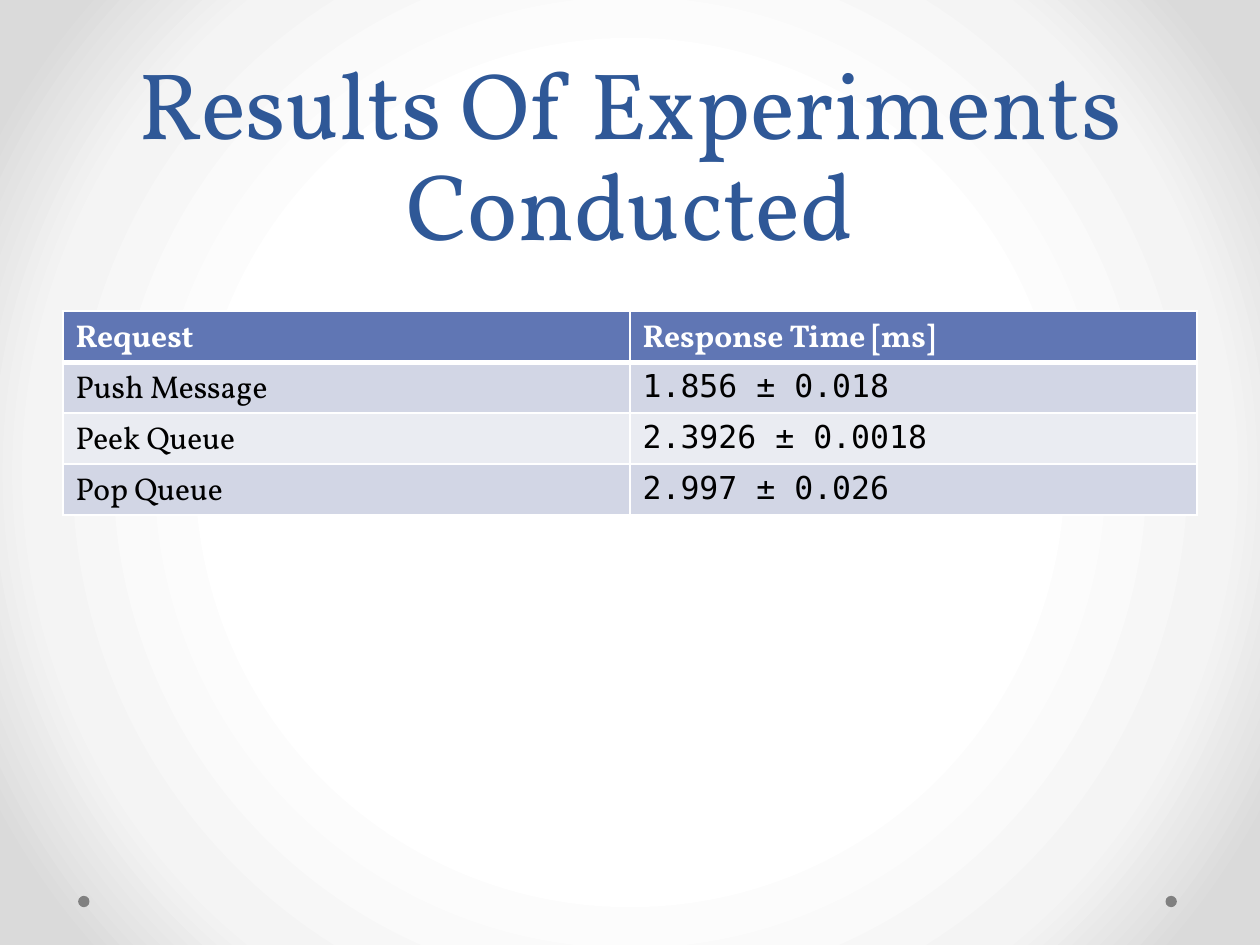
from pptx import Presentation
from pptx.dml.color import RGBColor
from pptx.enum.shapes import MSO_SHAPE
from pptx.enum.text import MSO_ANCHOR, PP_ALIGN
from pptx.oxml import parse_xml
from pptx.oxml.ns import nsdecls
from pptx.util import Inches, Pt

WHITE = RGBColor(0xFF, 0xFF, 0xFF)
BLACK = RGBColor(0x00, 0x00, 0x00)
TITLE_BLUE = RGBColor(0x2F, 0x58, 0x97)
HEADER_BLUE = RGBColor(0x60, 0x76, 0xB4)
BAND_DARK = RGBColor(0xD2, 0xD6, 0xE5)
BAND_LIGHT = RGBColor(0xEA, 0xEC, 0xF2)
DOT_GRAY = RGBColor(0x80, 0x80, 0x80)
GLOW_STOPS = [(50, WHITE), (76, RGBColor(0xF4, 0xF4, 0xF4)), (92, RGBColor(0xDA, 0xDA, 0xDA))]

TEXT_FONT = "Vollkorn"
NUMBER_FONT = "DejaVu Sans Mono"

RESULTS = [
    ("Request", "Response Time [ms]"),
    ("Push Message", "1.856 ± 0.018"),
    ("Peek Queue", "2.3926 ± 0.0018"),
    ("Pop Queue", "2.997 ± 0.026"),
]


class SlideBuilder:
    """Draws on one slide; positions and sizes are shares of the slide's size."""

    def __init__(self, deck):
        self.width, self.height = deck.slide_width, deck.slide_height
        self.page = deck.slides.add_slide(deck.slide_layouts[6])

    def area(self, left, top, width, height):
        return (round(left * self.width), round(top * self.height),
                round(width * self.width), round(height * self.height))

    def radial_background(self, stops):
        marks = "".join(
            f'<a:gs pos="{share * 1000}"><a:srgbClr val="{color}"/></a:gs>'
            for share, color in stops)
        self.page.element.cSld.insert(0, parse_xml(
            f'<p:bg {nsdecls("p", "a")}><p:bgPr><a:gradFill rotWithShape="1">'
            f'<a:gsLst>{marks}</a:gsLst><a:path path="circle">'
            '<a:fillToRect l="50000" t="50000" r="50000" b="50000"/></a:path>'
            '</a:gradFill><a:effectLst/></p:bgPr></p:bg>'))

    def dot(self, left, top, diameter):
        """Diameter is a share of the slide's width."""
        area = self.area(left, top, diameter, diameter * self.width / self.height)
        shape = self.page.shapes.add_shape(MSO_SHAPE.OVAL, *area)
        shape.shadow.inherit = False
        shape.fill.solid()
        shape.fill.fore_color.rgb = DOT_GRAY
        shape.line.fill.background()

    def style(self, para, font, size, color, bold=False):
        para.font.name, para.font.size = font, Pt(size)
        para.font.color.rgb, para.font.bold = color, bold

    def title(self, text, *area):
        frame = self.page.shapes.add_textbox(*self.area(*area)).text_frame
        frame.word_wrap = True
        frame.vertical_anchor = MSO_ANCHOR.BOTTOM
        para = frame.paragraphs[0]
        para.text = text
        para.alignment = PP_ALIGN.CENTER
        para.line_spacing = Pt(58)
        self.style(para, TEXT_FONT, 54, TITLE_BLUE)

    def borders(self, cell, widths):
        """Set white left, right, top and bottom borders, in points."""
        properties = cell._tc.get_or_add_tcPr()
        for index, (side, width) in enumerate(zip("LRTB", widths)):
            properties.insert(index, parse_xml(
                f'<a:ln{side} {nsdecls("a")} w="{Pt(width)}"><a:solidFill>'
                f'<a:srgbClr val="{WHITE}"/></a:solidFill></a:ln{side}>'))

    def table(self, rows, *area):
        table = self.page.shapes.add_table(len(rows), len(rows[0]), *self.area(*area)).table
        for row, texts in enumerate(rows):
            header = row == 0
            fill = HEADER_BLUE if header else BAND_DARK if row % 2 else BAND_LIGHT
            for column, text in enumerate(texts):
                cell = table.cell(row, column)
                cell.text = text
                cell.fill.solid()
                cell.fill.fore_color.rgb = fill
                self.borders(cell, (1, 1, 3 if row == 1 else 1, 3 if header else 1))
                font = NUMBER_FONT if column and not header else TEXT_FONT
                self.style(cell.text_frame.paragraphs[0], font, 18,
                           WHITE if header else BLACK, header)


def main():
    deck = Presentation()
    deck.slide_width, deck.slide_height = Inches(10), Inches(7.5)
    slide = SlideBuilder(deck)
    slide.radial_background(GLOW_STOPS)
    for left in (0.925, 0.062):
        slide.dot(left, 7.11 / 7.5, 0.009)
    slide.title("Results Of Experiments\vConducted", 0.05, 0, 0.9, 2.11 / 7.5)
    slide.table(RESULTS, 0.05, 2.47 / 7.5, 0.9, 1.62 / 7.5)
    deck.save("out.pptx")


if __name__ == "__main__":
    main()
